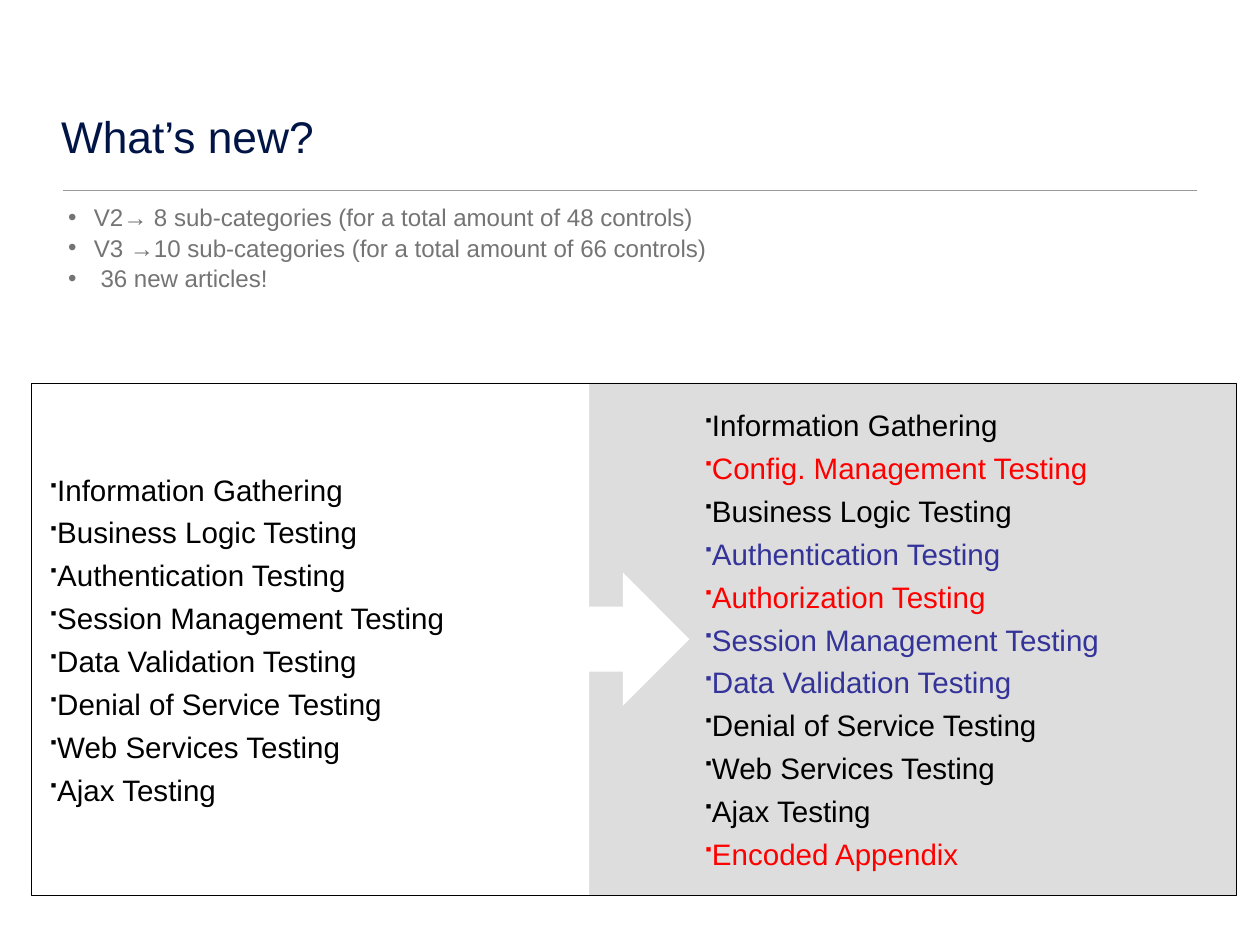
from lxml.etree import SubElement
from pptx import Presentation
from pptx.dml.color import RGBColor
from pptx.enum.shapes import MSO_CONNECTOR, MSO_SHAPE
from pptx.enum.text import MSO_ANCHOR, PP_ALIGN
from pptx.oxml.ns import qn
from pptx.util import Inches, Pt

COLORS = {
    "title": "001445",
    "rule": "9A9A9A",
    "body": "747474",
    "panel": "DDDDDD",
    "white": "FFFFFF",
    "kept": "000000",
    "new": "FF0000",
    "changed": "333399",
}
SUMMARY = [
    "V2→ 8 sub-categories (for a total amount of 48 controls)",
    "V3 →10 sub-categories (for a total amount of 66 controls)",
    " 36 new articles!",
]
VERSION_2 = [
    ("Information Gathering", "kept"),
    ("Business Logic Testing", "kept"),
    ("Authentication Testing", "kept"),
    ("Session Management Testing", "kept"),
    ("Data Validation Testing", "kept"),
    ("Denial of Service Testing", "kept"),
    ("Web Services Testing", "kept"),
    ("Ajax Testing", "kept"),
]
VERSION_3 = [
    ("Information Gathering", "kept"),
    ("Config. Management Testing", "new"),
    ("Business Logic Testing", "kept"),
    ("Authentication Testing", "changed"),
    ("Authorization Testing", "new"),
    ("Session Management Testing", "changed"),
    ("Data Validation Testing", "changed"),
    ("Denial of Service Testing", "kept"),
    ("Web Services Testing", "kept"),
    ("Ajax Testing", "kept"),
    ("Encoded Appendix", "new"),
]


def rgb(name):
    """Return the named colour."""
    return RGBColor.from_string(COLORS[name])


def set_frame(shape, anchor, inset_x, inset_y):
    """Set wrapping, anchor and insets, and return the text frame."""
    text_frame = shape.text_frame
    text_frame.word_wrap = True
    text_frame.vertical_anchor = anchor
    text_frame.margin_left = text_frame.margin_right = Inches(inset_x)
    text_frame.margin_top = text_frame.margin_bottom = Inches(inset_y)
    return text_frame


def format_runs(paragraph, size, color):
    """Give every run of the paragraph its font."""
    paragraph.alignment = PP_ALIGN.LEFT
    for run in paragraph.runs:
        run.font.name = "Arial"
        run.font.size = Pt(size)
        run.font.color.rgb = rgb(color)


def add_bullet(paragraph, character, font, color, indent=0):
    """Put a coloured bullet with a hanging indent before the paragraph."""
    properties = paragraph._p.get_or_add_pPr()
    properties.set("marL", str(Inches(indent)))
    properties.set("indent", str(-Inches(indent)))
    bullet_color = SubElement(properties, qn("a:buClr"))
    SubElement(bullet_color, qn("a:srgbClr"), val=COLORS[color])
    SubElement(properties, qn("a:buFont"), typeface=font)
    SubElement(properties, qn("a:buChar"), char=character)


def fill_list(text_frame, items, size, bullet, font, indent=0, line_spacing=None):
    """Write the (text, colour) items as bulleted paragraphs."""
    text_frame.text = "\n".join(text for text, _ in items)
    for paragraph, (_, color) in zip(text_frame.paragraphs, items):
        paragraph.space_before = Pt(6)
        if line_spacing:
            paragraph.line_spacing = line_spacing
        format_runs(paragraph, size, color)
        add_bullet(paragraph, bullet, font, color, indent)


def add_panel(slide, kind, left, top, width, height, fill=None, line=None):
    """Add a flat preset shape with an optional fill and outline."""
    shape = slide.shapes.add_shape(
        kind, Inches(left), Inches(top), Inches(width), Inches(height))
    shape.shadow.inherit = False
    if fill:
        shape.fill.solid()
        shape.fill.fore_color.rgb = rgb(fill)
    else:
        shape.fill.background()
    if line:
        shape.line.color.rgb = rgb(line)
        shape.line.width = Pt(0.75)
    else:
        shape.line.fill.background()
    return shape


def add_heading(slide, left, top, width, height):
    """Add the title and the rule below it."""
    title = slide.shapes.add_textbox(
        Inches(left), Inches(top), Inches(width), Inches(height))
    text_frame = set_frame(title, MSO_ANCHOR.BOTTOM, 0.06, 0.06)
    text_frame.text = "What’s new?"
    format_runs(text_frame.paragraphs[0], 36, "title")
    rule_left, rule_top = left + 0.08, top + height + 0.26
    rule = slide.shapes.add_connector(
        MSO_CONNECTOR.STRAIGHT, Inches(rule_left), Inches(rule_top),
        Inches(rule_left + 12.8), Inches(rule_top))
    rule.line.color.rgb = rgb("rule")
    rule.line.width = Pt(1)
    SubElement(rule._element.spPr, qn("a:effectLst"))


def add_summary(slide, left, top, width, height):
    """Add the bulleted summary of both versions."""
    summary = slide.shapes.add_textbox(
        Inches(left), Inches(top), Inches(width), Inches(height))
    text_frame = set_frame(summary, MSO_ANCHOR.TOP, 0.06, 0.06)
    items = [(text, "body") for text in SUMMARY]
    fill_list(text_frame, items, 19.6, "•", "Arial", 0.29, 0.8)


def add_comparison(slide, left, top, width, height):
    """Add the framed lists, with an arrow from version 2 to version 3."""
    panel_offset, callout_offset, callout_width = 4.63, 0.04, 7.39
    add_panel(slide, MSO_SHAPE.RECTANGLE, left + panel_offset, top,
              width - panel_offset, height, fill="panel")
    callout = add_panel(slide, MSO_SHAPE.RIGHT_ARROW_CALLOUT, left + callout_offset,
                        top, callout_width, height, fill="white")
    for index, value in enumerate((0.127, 0.13, 0.13, 0.847)):
        callout.adjustments[index] = value
    list_left = left + callout_offset + callout_width
    target = slide.shapes.add_textbox(
        Inches(list_left), Inches(top), Inches(6.05), Inches(height))
    for shape, items in ((callout, VERSION_2), (target, VERSION_3)):
        text_frame = set_frame(shape, MSO_ANCHOR.MIDDLE, 0.14, 0.07)
        fill_list(text_frame, items, 24, "■", "Wingdings")
    add_panel(slide, MSO_SHAPE.RECTANGLE, left, top, width, height, line="kept")


def main():
    """Build and save the slide."""
    presentation = Presentation()
    presentation.slide_width = Inches(14.22)
    presentation.slide_height = Inches(10.66)
    slide = presentation.slides.add_slide(presentation.slide_layouts[6])
    add_heading(slide, 0.63, 0.36, 8.03, 1.53)
    add_summary(slide, 0.71, 2.29, 12.34, 1.33)
    add_comparison(slide, 0.35, 4.32, 13.61, 5.78)
    presentation.save("out.pptx")


if __name__ == "__main__":
    main()
